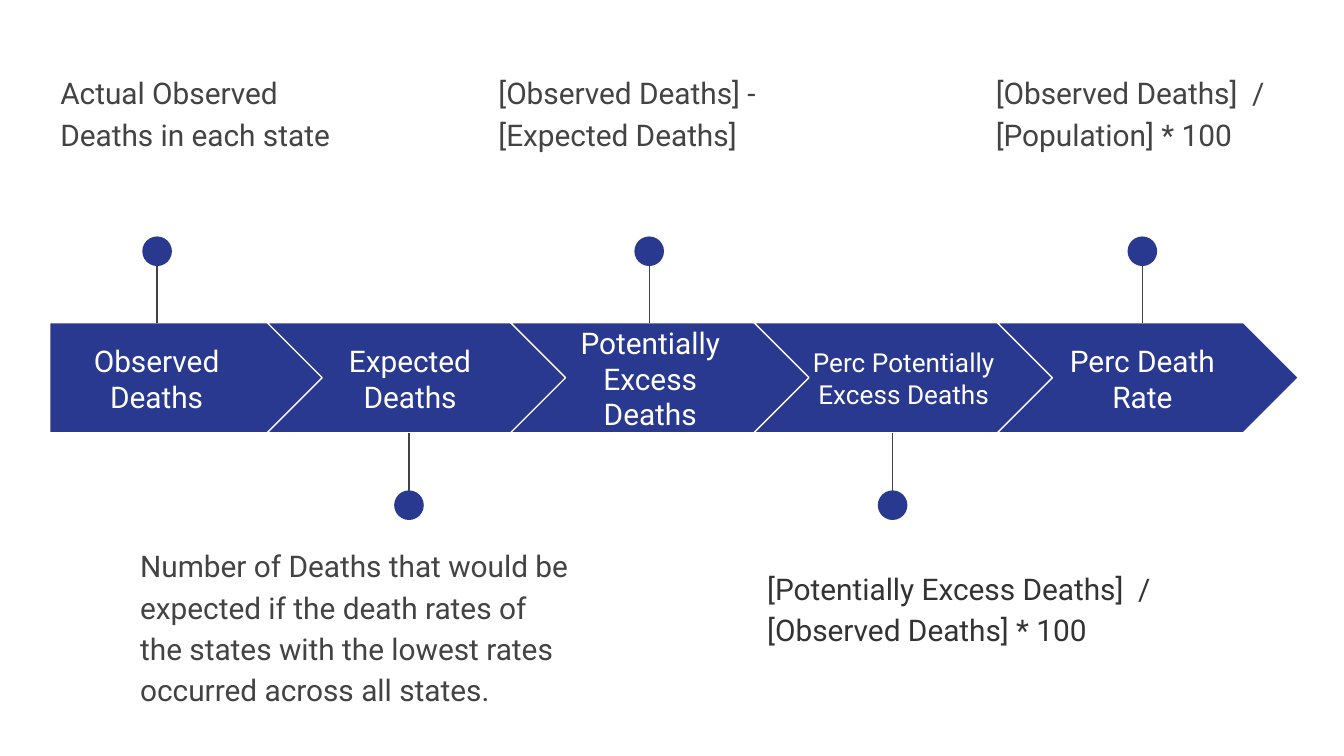
from dataclasses import dataclass

from lxml.etree import SubElement
from pptx import Presentation
from pptx.dml.color import RGBColor
from pptx.enum.shapes import MSO_CONNECTOR, MSO_SHAPE
from pptx.enum.text import MSO_ANCHOR, PP_ALIGN
from pptx.oxml.ns import qn
from pptx.util import Cm, Pt

# Arrow band and its pins, in cm
BAND_TOP, BAND_HEIGHT = 6.1, 2.08
FIRST_LEFT, FIRST_WIDTH = 0.94, 5.21
CHEVRON_LEFT, CHEVRON_WIDTH, CHEVRON_STEP = 5.05, 5.69, 4.6
LABEL_TOP, LABEL_HEIGHT = 6.5, 1.3
DOT_SIZE = 0.56
DOT_TOP_ABOVE, DOT_TOP_BELOW = 4.47, 9.27


def color(hex_value):
    return RGBColor.from_string(hex_value)


def set_values(target, values):
    for name, value in values.items():
        setattr(target, name, value)


@dataclass
class Step:
    label: str
    label_left: float
    label_width: float
    pin_x: float
    above: bool
    note: str
    note_box: tuple
    label_size: int = 16
    note_color: str = "434343"


class FlowPage:
    font = "Roboto"
    blue = "2A3990"
    white = "FFFFFF"
    gray = "434343"

    def __init__(self, deck):
        self.page = deck.slides.add_slide(deck.slide_layouts[6])

    def shape(self, kind, left, top, width, height, outlined=False):
        shape = self.page.shapes.add_shape(kind, Cm(left), Cm(top), Cm(width), Cm(height))
        shape.shadow.inherit = False
        shape.fill.solid()
        shape.fill.fore_color.rgb = color(self.blue)
        if outlined:
            shape.line.color.rgb = color(self.white)
            shape.line.width = Pt(0.75)
        else:
            shape.line.fill.background()
        return shape

    def stem(self, x, start, end):
        line = self.page.shapes.add_connector(
            MSO_CONNECTOR.STRAIGHT, Cm(x), Cm(start), Cm(x), Cm(end))
        line.line.color.rgb = color(self.gray)
        line.line.width = Pt(0.75)
        SubElement(line._element.spPr, qn("a:effectLst"))

    def pin(self, x, above):
        dot_top = DOT_TOP_ABOVE if above else DOT_TOP_BELOW
        band_edge = BAND_TOP if above else BAND_TOP + BAND_HEIGHT
        self.stem(x, dot_top + DOT_SIZE / 2, band_edge)
        self.shape(MSO_SHAPE.OVAL, x - DOT_SIZE / 2, dot_top, DOT_SIZE, DOT_SIZE)

    def text(self, words, place, size, hex_value, anchor, paragraph_format):
        box = self.page.shapes.add_textbox(*(Cm(length) for length in place))
        margins = {f"margin_{side}": Cm(0.25) for side in ("left", "top", "right", "bottom")}
        set_values(box.text_frame, {"word_wrap": True, "vertical_anchor": anchor, **margins})
        para = box.text_frame.paragraphs[0]
        set_values(para, paragraph_format)
        span = para.add_run()
        span.text = words
        set_values(span.font, {"name": self.font, "size": Pt(size)})
        span.font.color.rgb = color(hex_value)

    def label(self, step):
        place = (step.label_left, LABEL_TOP, step.label_width, LABEL_HEIGHT)
        self.text(step.label, place, step.label_size, self.white,
                  MSO_ANCHOR.MIDDLE, {"alignment": PP_ALIGN.CENTER})

    def note(self, step):
        self.text(step.note, step.note_box, 16, step.note_color, MSO_ANCHOR.TOP,
                  {"line_spacing": 1.15, "space_after": Pt(16)})

    def arrow(self, index):
        if index == 0:
            kind, left, width = MSO_SHAPE.PENTAGON, FIRST_LEFT, FIRST_WIDTH
        else:
            kind, width = MSO_SHAPE.CHEVRON, CHEVRON_WIDTH
            left = CHEVRON_LEFT + (index - 1) * CHEVRON_STEP
        arrow = self.shape(kind, left, BAND_TOP, width, BAND_HEIGHT, outlined=True)
        arrow.adjustments[0] = 0.5


STEPS = [
    Step("Observed Deaths", 0.94, 4.04, 2.97, True,
         "Actual Observed Deaths in each state", (0.89, 1.07, 6.22, 2.51)),
    Step("Expected Deaths", 5.92, 3.66, 7.73, False,
         "Number of Deaths that would be expected if the death rates of "
         "the states with the lowest rates occurred across all states.",
         (2.4, 10.01, 8.65, 3.38)),
    Step("Potentially Excess Deaths", 10.46, 3.66, 12.27, True,
         "[Observed Deaths] - [Expected Deaths]", (9.17, 1.07, 6.22, 2.51)),
    Step("Perc Potentially Excess Deaths", 15.06, 4.04, 16.87, False,
         "[Potentially Excess Deaths]  /  [Observed Deaths] * 100",
         (14.25, 10.44, 7.98, 2.08), label_size=14, note_color="333333"),
    Step("Perc Death Rate", 19.76, 3.66, 21.59, True,
         "[Observed Deaths]  /  [Population] * 100", (18.57, 1.07, 6.22, 2.51)),
]


def main():
    deck = Presentation()
    set_values(deck, {"slide_width": Cm(25.4), "slide_height": Cm(14.29)})
    flow = FlowPage(deck)

    # Each step: arrow with label, pin, explanation
    for index, step in enumerate(STEPS):
        flow.arrow(index)
        flow.label(step)
        flow.pin(step.pin_x, step.above)
        flow.note(step)

    deck.save("out.pptx")


if __name__ == "__main__":
    main()
